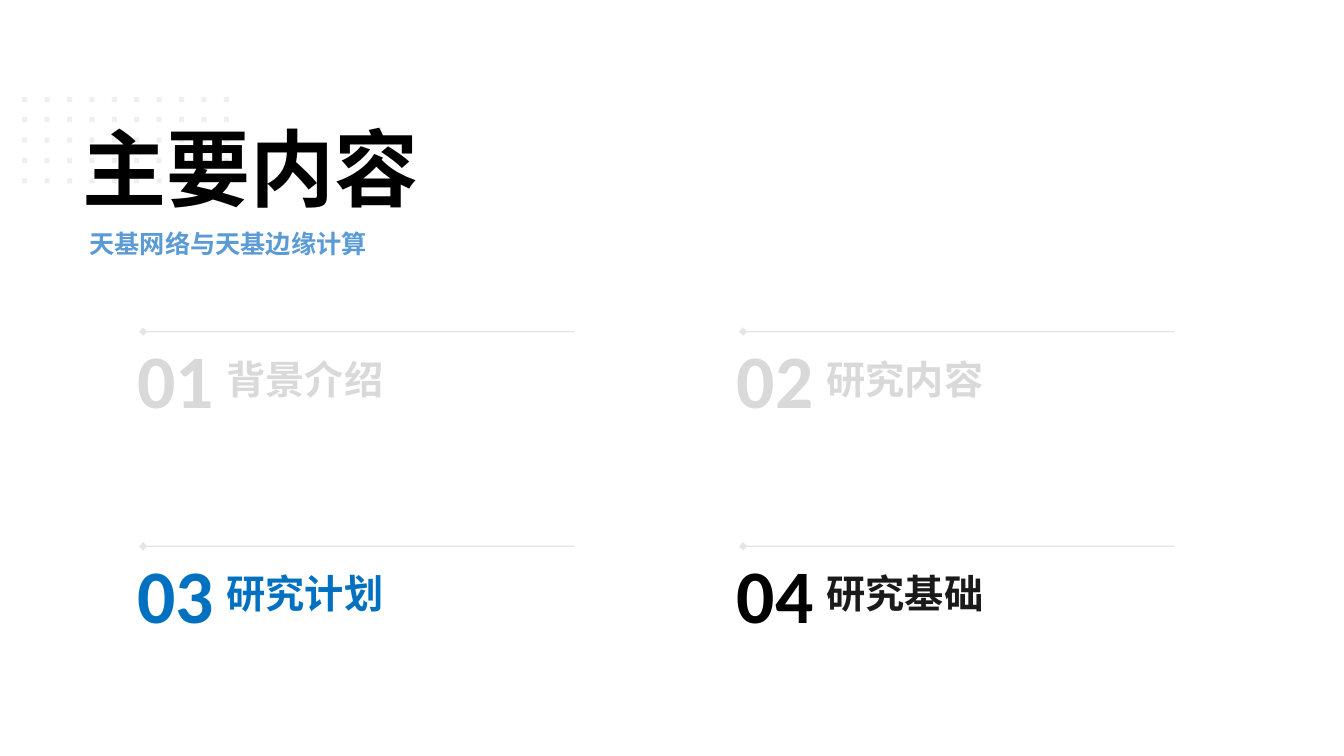
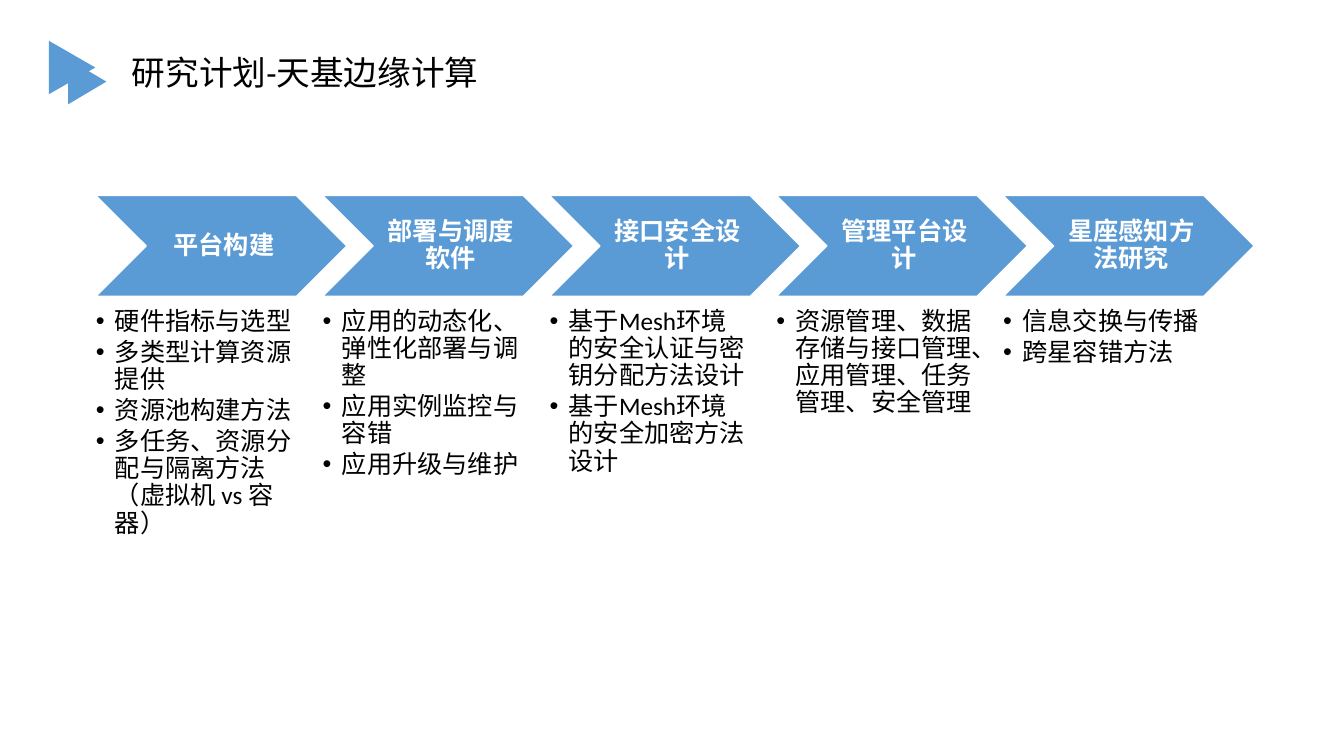
from dataclasses import dataclass
from itertools import product
from lxml.etree import SubElement
from pptx import Presentation
from pptx.dml.color import RGBColor
from pptx.enum.shapes import MSO_CONNECTOR, MSO_SHAPE
from pptx.enum.text import MSO_ANCHOR, PP_ALIGN
from pptx.oxml.ns import qn
from pptx.util import Inches, Pt


@dataclass(frozen=True)
class Theme:
    latin: str = "Calibri"
    asian: str = "Noto Sans CJK SC"
    black: str = "000000"
    dark: str = "1A1A1A"
    white: str = "FFFFFF"
    gray: str = "808080"
    pale: str = "D9D9D9"
    blue: str = "5B9BD5"
    deep: str = "0070C0"
    huge: int = 60
    number: int = 54
    item: int = 28
    title: int = 24
    body: int = 18


THEME = Theme()
PARTS = [
    ("01", "背景介绍", THEME.pale, THEME.pale),
    ("02", "研究内容", THEME.pale, THEME.pale),
    ("03", "研究计划", THEME.deep, THEME.deep),
    ("04", "研究基础", THEME.black, THEME.dark),
]
STAGES = [
    ("平台构建", THEME.asian, [
        "硬件指标与选型", "多类型计算资源提供", "资源池构建方法",
        "多任务、资源分配与隔离方法（虚拟机 vs 容器）"]),
    ("部署与调度软件", THEME.asian, [
        "应用的动态化、弹性化部署与调整", "应用实例监控与容错", "应用升级与维护"]),
    ("接口安全设计", THEME.latin, [
        "基于Mesh环境的安全认证与密钥分配方法设计", "基于Mesh环境的安全加密方法设计"]),
    ("管理平台设计", THEME.latin, [
        "资源管理、数据存储与接口管理、应用管理、任务管理、安全管理"]),
    ("星座感知方法研究", THEME.latin, ["信息交换与传播", "跨星容错方法"]),
]


def fade(fill, share):
    color = fill._xPr.find(qn("a:solidFill"))[0]
    SubElement(color, qn("a:alpha"), val=str(share * 1000))


def bullet(para):
    para.level = 1
    props = para._p.get_or_add_pPr()
    props.set("marL", str(Inches(0.19)))
    props.set("indent", str(Inches(-0.19)))
    SubElement(props, qn("a:buFont"), typeface="Arial")
    SubElement(props, qn("a:buChar"), char="•")


def write(shape, text, size=THEME.body, color=THEME.black, face=THEME.latin,
          bold=False, align=PP_ALIGN.LEFT, anchor=MSO_ANCHOR.TOP,
          inset=(0.1, 0.05, 0.1, 0.05), lead=None, after=0, dots=False):
    frame = shape.text_frame
    frame.word_wrap = True
    frame.vertical_anchor = anchor
    (frame.margin_left, frame.margin_top,
     frame.margin_right, frame.margin_bottom) = map(Inches, inset)
    lines = [text] if isinstance(text, str) else text
    for i, line in enumerate(lines):
        para = frame.add_paragraph() if i else frame.paragraphs[0]
        if dots:
            bullet(para)
        para.alignment = align
        para.line_spacing = lead
        para.space_after = Pt(after)
        run = para.add_run()
        run.text = line
        font = run.font
        font.name, font.size, font.bold = face, Pt(size), bold
        font.color.rgb = RGBColor.from_string(color)
        SubElement(run._r.get_or_add_rPr(), qn("a:ea"), typeface=THEME.asian)


def label(slide, text, box, **form):
    write(slide.shapes.add_textbox(*map(Inches, box)), text, **form)


def block(shapes, kind, box, fill, line=None, turn=0):
    shape = shapes.add_shape(kind, *map(Inches, box))
    shape.shadow.inherit = False
    shape.rotation = turn
    shape.fill.solid()
    shape.fill.fore_color.rgb = RGBColor.from_string(fill)
    if line:
        shape.line.color.rgb = RGBColor.from_string(line)
        shape.line.width = Pt(1)
    else:
        shape.line.fill.background()
    return shape


def rule(slide, left, top, width):
    line = slide.shapes.add_connector(
        MSO_CONNECTOR.STRAIGHT, *map(Inches, (left, top, left + width, top)))
    line.line.color.rgb = RGBColor.from_string(THEME.gray)
    line.line.width = Pt(1)
    fade(line.line.fill, 20)
    SubElement(line.line._get_or_add_ln(), qn("a:headEnd"), type="diamond")
    SubElement(line._element.spPr, qn("a:effectLst"))


def grid(slide):
    group = slide.shapes.add_group_shape()
    for col, row in product(range(10), range(5)):
        box = (0.22 + col * 2 / 9, 0.96 + row * 0.81 / 4, 0.05, 0.05)
        dot = block(group.shapes, MSO_SHAPE.RECTANGLE, box, THEME.gray)
        fade(dot.fill, 12)


def part(slide, left, top, number, name, tint, ink):
    middle = MSO_ANCHOR.MIDDLE
    label(slide, number, (left, top, 1.06, 1.01), size=THEME.number,
          color=tint, bold=True, align=PP_ALIGN.CENTER, anchor=middle)
    label(slide, name, (left + 0.94, top + 0.22, 3.82, 0.57),
          size=THEME.item, color=ink, bold=True, anchor=middle)
    rule(slide, left + 0.21, top + 0.04, 4.28)


def agenda(slide):
    grid(slide)
    label(slide, "主要内容", (0.72, 1.11, 5.63, 1.11), size=THEME.huge, bold=True)
    label(slide, "天基网络与天基边缘计算", (0.79, 2.22, 5.56, 0.4),
          color=THEME.blue, bold=True)
    for i, entry in enumerate(PARTS):
        row, col = divmod(i, 2)
        part(slide, 1.21 + col * 5.95, 3.25 + row * 2.13, *entry)


def stage(slide, left, name, face, points):
    arrow = block(slide.shapes, MSO_SHAPE.CHEVRON, (left, 1.94, 2.49, 1),
                  THEME.blue, line=THEME.white)
    write(arrow, name, color=THEME.white, face=face, bold=True,
          align=PP_ALIGN.CENTER, anchor=MSO_ANCHOR.MIDDLE,
          inset=(0.08, 0.03, 0.03, 0.03), lead=0.9)
    label(slide, points, (left, 3.06, 1.99, 3.37), inset=(0, 0, 0, 0),
          lead=0.9, after=2.7, dots=True)


def plan(slide):
    label(slide, "研究计划-天基边缘计算", (1.21, 0.38, 6.55, 0.72),
          size=THEME.title, anchor=MSO_ANCHOR.MIDDLE, lead=0.9)
    for i, entry in enumerate(STAGES):
        stage(slide, 0.95 + i * 2.25, *entry)
    for box in ((0.45, 0.44, 0.53, 0.46), (0.64, 0.62, 0.45, 0.38)):
        block(slide.shapes, MSO_SHAPE.ISOSCELES_TRIANGLE, box, THEME.blue, turn=90)


def main():
    deck = Presentation()
    deck.slide_width, deck.slide_height = Inches(13.33), Inches(7.5)
    for build in (agenda, plan):
        build(deck.slides.add_slide(deck.slide_layouts[6]))
    deck.save("out.pptx")


if __name__ == "__main__":
    main()
